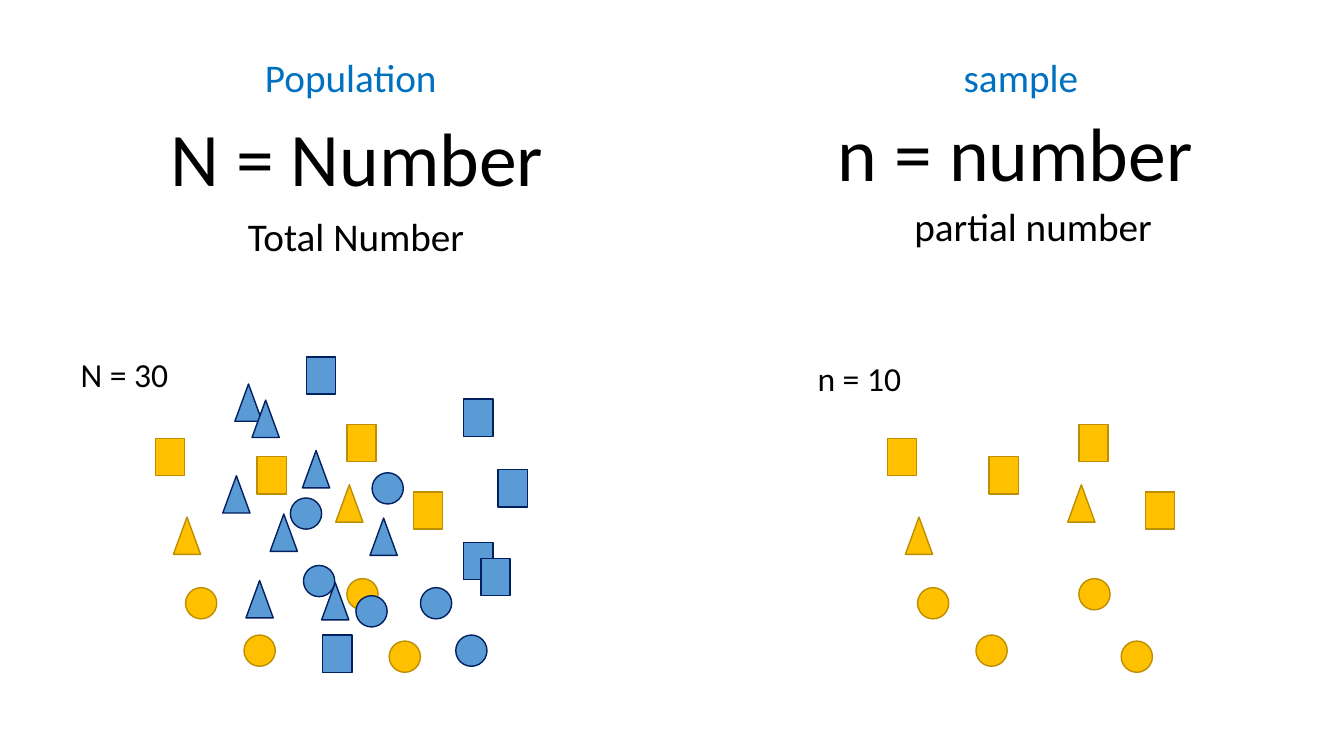
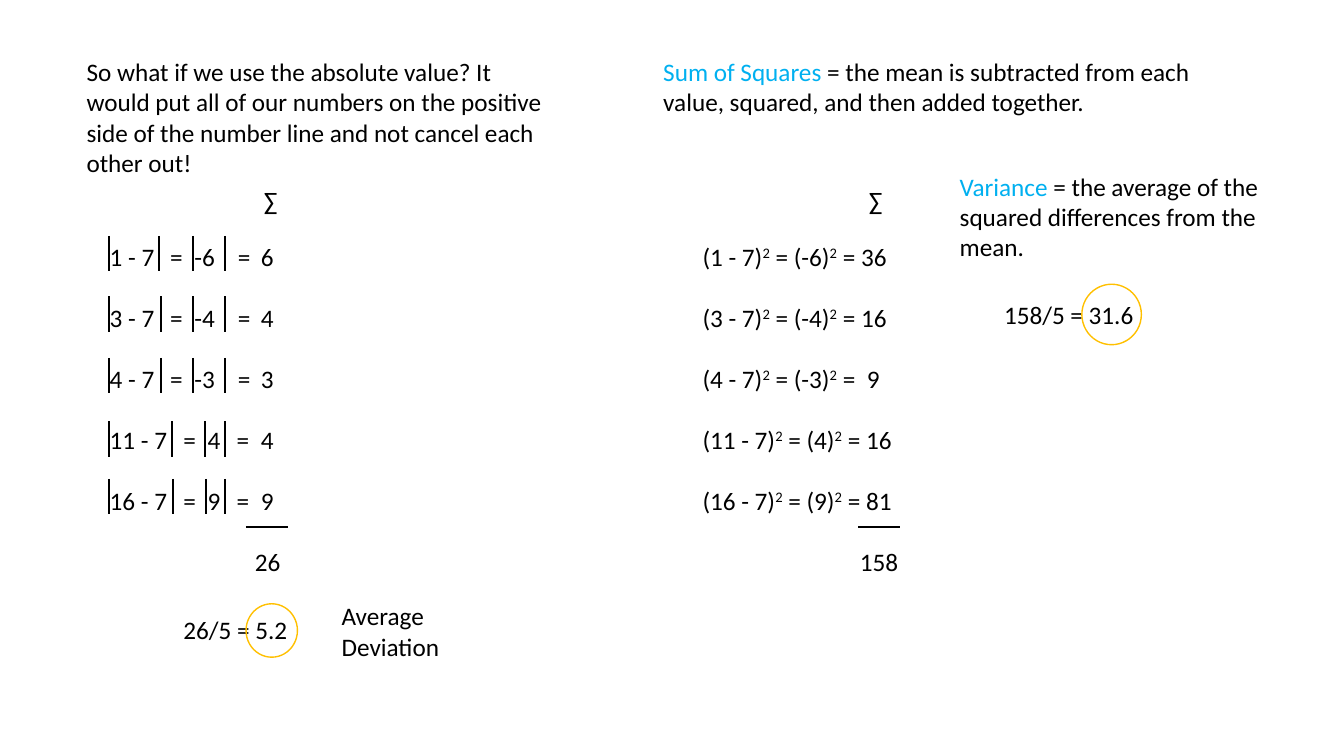
from dataclasses import dataclass
from typing import NamedTuple

from lxml import etree
from pptx import Presentation
from pptx.dml.color import RGBColor
from pptx.enum.shapes import MSO_CONNECTOR, MSO_SHAPE
from pptx.oxml.ns import qn
from pptx.slide import Slide
from pptx.util import Inches, Pt

# Shared style
FONT = "Calibri"
BLACK = RGBColor(0x00, 0x00, 0x00)
HEADING_BLUE = RGBColor(0x00, 0x70, 0xC0)
TERM_BLUE = RGBColor(0x00, 0xB0, 0xF0)
BLUE = RGBColor(0x5B, 0x9B, 0xD5)
NAVY = RGBColor(0x00, 0x20, 0x60)
GOLD = RGBColor(0xFF, 0xC0, 0x00)
DARK_GOLD = RGBColor(0xBD, 0x8E, 0x00)
STRAIGHT = MSO_CONNECTOR.STRAIGHT
SQUARE = MSO_SHAPE.RECTANGLE
TRIANGLE = MSO_SHAPE.ISOSCELES_TRIANGLE
CIRCLE = MSO_SHAPE.OVAL
SIZES = {SQUARE: (0.29, 0.37), TRIANGLE: (0.27, 0.37), CIRCLE: (0.31, 0.31)}
OUTLINES = {BLUE: NAVY, GOLD: DARK_GOLD}
SAMPLE_SHIFT = 7.26
MEAN = 7
ROW_GAP = 22


class Member(NamedTuple):
    kind: MSO_SHAPE
    fill: RGBColor
    left: float
    top: float


@dataclass(frozen=True)
class Deviation:
    value: int
    bar_top: float
    inner_bars: tuple[float, float]
    tabs: tuple[float, ...]

    @property
    def difference(self) -> int:
        return self.value - MEAN


# Members of the population, from back to front; the gold ones form the sample
POPULATION = [
    Member(TRIANGLE, BLUE, 2.33, 3.81),
    Member(SQUARE, BLUE, 3.04, 3.54),
    Member(CIRCLE, GOLD, 3.44, 5.74),
    Member(SQUARE, GOLD, 3.44, 4.21),
    Member(SQUARE, BLUE, 4.6, 3.96),
    Member(SQUARE, BLUE, 4.94, 4.66),
    Member(SQUARE, GOLD, 1.54, 4.35),
    Member(SQUARE, GOLD, 4.1, 4.88),
    Member(SQUARE, BLUE, 3.2, 6.3),
    Member(SQUARE, GOLD, 2.55, 4.53),
    Member(SQUARE, BLUE, 4.6, 5.38),
    Member(SQUARE, BLUE, 4.77, 5.54),
    Member(TRIANGLE, BLUE, 2.5, 3.97),
    Member(TRIANGLE, BLUE, 2.21, 4.72),
    Member(TRIANGLE, GOLD, 1.72, 5.13),
    Member(TRIANGLE, BLUE, 3, 4.47),
    Member(TRIANGLE, BLUE, 2.44, 5.76),
    Member(TRIANGLE, GOLD, 3.33, 4.81),
    Member(TRIANGLE, BLUE, 2.68, 5.1),
    Member(TRIANGLE, BLUE, 3.67, 5.14),
    Member(TRIANGLE, BLUE, 3.19, 5.78),
    Member(CIRCLE, BLUE, 3.53, 5.91),
    Member(CIRCLE, BLUE, 3.01, 5.61),
    Member(CIRCLE, BLUE, 3.69, 4.69),
    Member(CIRCLE, BLUE, 2.88, 4.94),
    Member(CIRCLE, GOLD, 1.84, 5.83),
    Member(CIRCLE, BLUE, 4.52, 6.3),
    Member(CIRCLE, GOLD, 3.86, 6.36),
    Member(CIRCLE, BLUE, 4.17, 5.83),
    Member(CIRCLE, GOLD, 2.42, 6.3),
]

# Tab stops of the equation parts, from the left edge of the text
SHORT_TABS = (0.6, 0.84, 1.27, 1.5)
LONG_TABS = (0.73, 0.97, 1.26, 1.5)
DEVIATIONS = [
    Deviation(1, 2.34, (1.58, 1.91), SHORT_TABS),
    Deviation(3, 2.94, (1.6, 1.91), SHORT_TABS),
    Deviation(4, 3.55, (1.6, 1.91), SHORT_TABS),
    Deviation(11, 4.18, (1.71, 2.03), LONG_TABS),
    Deviation(16, 4.75, (1.72, 2.04), LONG_TABS),
]


def add_run(paragraph, text: str, size: float, color: RGBColor, raised: bool = False) -> None:
    run = paragraph.add_run()
    run.text = text
    run.font.name = FONT
    run.font.size = Pt(size)
    run.font.color.rgb = color
    if raised:
        run.font._element.set("baseline", "30000")


def set_tabs(paragraph, stops: tuple[float, ...]) -> None:
    properties = paragraph._p.get_or_add_pPr()
    tab_list = etree.SubElement(properties, qn("a:tabLst"))
    for stop in stops:
        etree.SubElement(tab_list, qn("a:tab"), pos=str(Inches(stop)), algn="l")


def add_text(slide: Slide, text: str, left: float, top: float, width: float, height: float, *,
             size: float = 18, color: RGBColor = BLACK, term: str = "",
             tabs: list[tuple[float, ...]] | None = None, gap: float = 0) -> None:
    """Draw text, one paragraph a line; term leads in blue and ^ raises the next digit."""
    frame = slide.shapes.add_textbox(
        Inches(left), Inches(top), Inches(width), Inches(height)).text_frame
    frame.word_wrap = True
    for index, line in enumerate(text.split("\n")):
        paragraph = frame.add_paragraph() if index else frame.paragraphs[0]
        if tabs:
            set_tabs(paragraph, tabs[index])
        if index and gap:
            paragraph.space_before = Pt(gap)
        if term and not index:
            add_run(paragraph, term, size, TERM_BLUE)
        first, *powers = line.split("^")
        add_run(paragraph, first, size, color)
        for power in powers:
            add_run(paragraph, power[0], size, color, raised=True)
            if power[1:]:
                add_run(paragraph, power[1:], size, color)


def add_outlined(slide: Slide, kind: MSO_SHAPE, left: float, top: float, width: float,
                 height: float, *, line: RGBColor, fill: RGBColor | None = None) -> None:
    shape = slide.shapes.add_shape(
        kind, Inches(left), Inches(top), Inches(width), Inches(height))
    shape.shadow.inherit = False
    if fill is None:
        shape.fill.background()
    else:
        shape.fill.solid()
        shape.fill.fore_color.rgb = fill
    shape.line.color.rgb = line
    shape.line.width = Pt(1)


def add_line(slide: Slide, left: float, top: float, right: float, bottom: float) -> None:
    connector = slide.shapes.add_connector(
        STRAIGHT, Inches(left), Inches(top), Inches(right), Inches(bottom))
    connector.line.color.rgb = BLACK
    connector.line.width = Pt(1.5)
    etree.SubElement(connector._element.spPr, qn("a:effectLst"))


def add_members(slide: Slide, members: list[Member], shift: float = 0) -> None:
    for member in members:
        add_outlined(slide, member.kind, member.left + shift, member.top, *SIZES[member.kind],
                     fill=member.fill, line=OUTLINES[member.fill])


def build_population_slide(slide: Slide) -> None:
    # Headings
    add_text(slide, "N = Number", 1.59, 1.05, 5.85, 1.92, size=54)
    add_text(slide, "Total Number", 2.36, 2.06, 2.87, 0.57, size=28)
    add_text(slide, "partial number", 8.97, 1.96, 3.21, 0.57, size=28)
    add_text(slide, "sample", 9.46, 0.48, 1.4, 0.57, size=28, color=HEADING_BLUE)
    add_text(slide, "Population", 2.53, 0.48, 2.87, 0.57, size=28, color=HEADING_BLUE)
    add_text(slide, "n = number", 8.21, 1, 3.9, 1.01, size=54)

    # Population and the sample drawn from it
    sample = [member for member in POPULATION if member.fill == GOLD]
    add_members(slide, POPULATION)
    add_text(slide, f"N = {len(POPULATION)}", 0.7, 3.46, 1.78, 0.5, size=24)
    add_members(slide, sample, SAMPLE_SHIFT)
    add_text(slide, f"n = {len(sample)}", 8.01, 3.5, 1.78, 0.5, size=24)


def build_variance_slide(slide: Slide) -> None:
    # Absolute deviations
    absolute_rows = [f"{row.value} - {MEAN}\t=\t{row.difference}\t=\t{abs(row.difference)}"
                     for row in DEVIATIONS]
    absolute_total = sum(abs(row.difference) for row in DEVIATIONS)
    add_text(slide, "\n".join([*absolute_rows, f"\t{absolute_total}"]), 0.99, 2.34, 3.57, 3.43,
             tabs=[*(row.tabs for row in DEVIATIONS), (1.44,)], gap=ROW_GAP)
    for row in DEVIATIONS:
        for left in (1.08, *row.inner_bars, 2.23):
            add_line(slide, left, row.bar_top, left, row.bar_top + 0.35)
    add_line(slide, 2.44, 5.23, 2.86, 5.23)
    add_text(slide, "So what if we use the absolute value? It would put all of our numbers on the "
             "positive side of the number line and not cancel each other out!",
             0.76, 0.51, 4.82, 1.31)
    add_text(slide, "∑", 2.52, 1.79, 0.34, 0.4)

    # Average deviation
    add_text(slide, f"{absolute_total}/5 = {absolute_total / 5}", 1.72, 6.05, 1.56, 0.4)
    add_outlined(slide, CIRCLE, 2.44, 5.99, 0.51, 0.53, line=GOLD)
    add_text(slide, "Average Deviation", 3.29, 5.91, 1.6, 0.71)

    # Sum of squares
    square_rows = []
    for row in DEVIATIONS:
        square = row.difference ** 2
        separator = "\t" if square < 10 else " "
        square_rows.append(f"({row.value} - {MEAN})^2 = ({row.difference})^2 ={separator}{square}")
    square_total = sum(row.difference ** 2 for row in DEVIATIONS)
    add_text(slide, "= the mean is subtracted from each value, squared, and then added together.",
             6.48, 0.51, 5.9, 0.71, term="Sum of Squares ")
    add_text(slide, "\n".join([*square_rows, f"\t{square_total}"]), 6.87, 2.34, 2.23, 3.43,
             tabs=[(1.63,)] * len(square_rows) + [(1.56,)], gap=ROW_GAP)
    add_line(slide, 8.51, 5.23, 8.93, 5.23)
    add_text(slide, "∑", 8.52, 1.79, 0.34, 0.4)

    # Variance
    add_text(slide, " = the average of the squared differences from the mean.",
             9.42, 1.65, 3.44, 1.01, term="Variance")
    add_text(slide, f"{square_total}/5 = {square_total / 5}", 9.86, 2.92, 2.72, 0.4)
    add_outlined(slide, CIRCLE, 10.73, 2.82, 0.59, 0.6, line=GOLD)


def main() -> None:
    presentation = Presentation()
    presentation.slide_width = Inches(13.33)
    presentation.slide_height = Inches(7.5)
    blank = presentation.slide_layouts[6]
    for build in (build_population_slide, build_variance_slide):
        build(presentation.slides.add_slide(blank))
    presentation.save("out.pptx")


if __name__ == "__main__":
    main()
